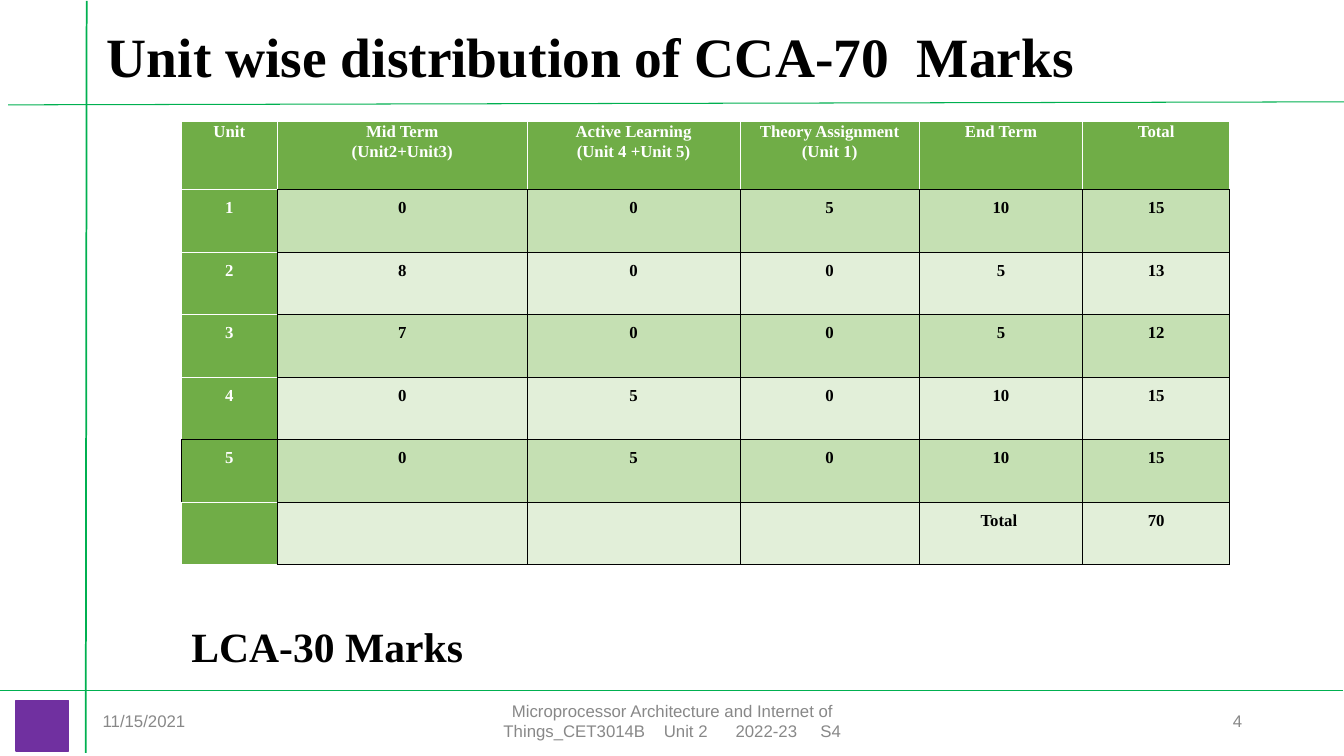
from dataclasses import dataclass

from lxml.etree import SubElement
from pptx import Presentation
from pptx.dml.color import RGBColor as Color
from pptx.enum.shapes import MSO_CONNECTOR as Link, MSO_SHAPE as Form
from pptx.enum.text import MSO_ANCHOR as Anchor, MSO_AUTO_SIZE as Fit, PP_ALIGN as Align
from pptx.oxml.ns import qn
from pptx.slide import Slide
from pptx.table import Table
from pptx.text.text import TextFrame
from pptx.util import Inches, Pt

WIDE, HIGH = Inches(13.33), Inches(7.5)


@dataclass(frozen=True)
class Theme:
    serif: str = "Times New Roman"
    sans: str = "Arial"
    black: str = "000000"
    white: str = "FFFFFF"
    gray: str = "888888"
    rule: str = "00B050"
    square: str = "7030A0"
    head: str = "70AD47"
    bands: tuple[str, str] = ("E2EFD9", "C5E0B3")
    title: float = 39.6
    note: float = 29.7
    small: float = 12


@dataclass(frozen=True)
class Box:
    """Place in percent of the slide's width and height."""
    left: float
    top: float
    width: float
    height: float

    def place(self) -> dict:
        return {"left": across(self.left), "top": down(self.top),
                "width": across(self.width), "height": down(self.height)}


@dataclass(frozen=True)
class Style:
    font: str
    size: float
    color: str
    bold: bool = False
    align: Align = Align.LEFT
    space: float = 1.0
    after: float = 0


@dataclass(frozen=True)
class Label:
    text: str
    box: Box
    style: Style


@dataclass(frozen=True)
class Rule:
    start: tuple[float, float]
    end: tuple[float, float]
    weight: float


def across(share: float) -> int:
    return round(WIDE * share / 100)


def down(share: float) -> int:
    return round(HIGH * share / 100)


def apply(item: object, values: dict) -> None:
    for name, value in values.items():
        setattr(item, name, value)


THEME = Theme()
HEAD = Style(THEME.serif, THEME.title, THEME.black, True, space=0.9)
NOTE = Style(THEME.serif, THEME.note, THEME.black, True, space=0.7)
TITLE = Label("Unit wise distribution of CCA-70  Marks\v", Box(7.2, 9.6, 86.27, 6.27), HEAD)


def foot(text: str, left: float, width: float, align: Align) -> Label:
    style = Style(THEME.sans, THEME.small, THEME.gray, align=align)
    return Label(text, Box(left, 92.67, width, 5.33), style)


LABELS = [
    foot("11/15/2021", 6.9, 22.5, Align.LEFT),
    foot("Microprocessor Architecture and Internet of "
         "Things_CET3014B    Unit 2      2022-23     S4", 33.16, 33.76, Align.CENTER),
    foot("4", 70.67, 22.5, Align.RIGHT),
    Label("LCA-30 Marks", Box(13.5, 83.07, 86.27, 6.27), NOTE),
]
RULES = [
    Rule((0.6, 13.87), (100, 13.47), 0.75),
    Rule((6.45, 0.13), (6.38, 99.6), 1.25),
    Rule((0, 91.33), (99.92, 91.33), 1.25),
]
SQUARE = Box(1.2, 92.67, 3.9, 6.67)
GRID = Box(13.5, 16, 78.01, 58.69)
COLS = [7.13, 18.6, 15.83, 13.35, 12.15, 10.95]
ROWS = [9.07] + [8.27] * 6
MARKS = [
    ["Unit", "Mid Term\n(Unit2+Unit3)", "Active Learning\n(Unit 4 +Unit 5)",
     "Theory Assignment (Unit 1)", "End Term", "Total"],
    ["1", "0", "0", "5", "10", "15"],
    ["2", "8", "0", "0", "5", "13"],
    ["3", "7", "0", "0", "5", "12"],
    ["4", "0", "5", "0", "10", "15"],
    ["5", "0", "5", "0", "10", "15"],
    ["", "", "", "", "Total ", "70"],
]
SIDES = {"a:lnL": (0, -1), "a:lnR": (0, 1), "a:lnT": (-1, 0), "a:lnB": (1, 0)}
DARK = [{(5, 0), (4, 0)}, {(5, 0), (5, -1)}]


def write(frame: TextFrame, text: str, style: Style) -> None:
    frame.text = text
    for para in frame.paragraphs:
        apply(para, {"alignment": style.align, "line_spacing": style.space,
                     "space_before": Pt(0), "space_after": Pt(0)})
        for run in para.runs:
            apply(run.font, {"name": style.font, "size": Pt(style.size), "bold": style.bold})
            run.font.color.rgb = Color.from_string(style.color)
    frame.paragraphs[-1].space_after = Pt(style.after)


def fill(item: object, color: str) -> None:
    item.fill.solid()
    item.fill.fore_color.rgb = Color.from_string(color)


def add_text(slide: Slide, label: Label, shape: object = None) -> None:
    shape = shape or slide.shapes.add_textbox(0, 0, 0, 0)
    apply(shape, label.box.place())
    apply(shape.text_frame, {"word_wrap": True, "auto_size": Fit.NONE,
                             "vertical_anchor": Anchor.MIDDLE})
    write(shape.text_frame, label.text, label.style)


def add_rule(slide: Slide, rule: Rule) -> None:
    (left, top), (right, base) = rule.start, rule.end
    line = slide.shapes.add_connector(Link.STRAIGHT, across(left), down(top),
                                      across(right), down(base))
    line.line.width = Pt(rule.weight)
    line.line.color.rgb = Color.from_string(THEME.rule)
    SubElement(line._element.spPr, qn("a:effectLst"))


def add_square(slide: Slide) -> None:
    shape = slide.shapes.add_shape(Form.RECTANGLE, **SQUARE.place())
    shape.shadow.inherit = False
    fill(shape, THEME.square)
    shape.line.color.rgb = Color.from_string(THEME.square)
    shape.line.width = Pt(1)


def in_body(row: int, col: int) -> bool:
    return 0 < row < len(ROWS) and 0 < col < len(COLS)


def add_edges(cell: object, row: int, col: int) -> None:
    """Draw black edges around body cells and white ones between green cells."""
    for tag, (drop, step) in SIDES.items():
        pair = {(row, col), (row + drop, col + step)}
        dark = pair in DARK or any(in_body(*spot) for spot in pair)
        edge = SubElement(cell._tc.get_or_add_tcPr(), qn(tag), w=str(Pt(0.5)))
        paint = SubElement(edge, qn("a:solidFill"))
        SubElement(paint, qn("a:srgbClr"), val=THEME.black if dark else THEME.white)


def fill_cell(table: Table, row: int, col: int, text: str) -> None:
    cell, body = table.cell(row, col), in_body(row, col)
    apply(cell, {"margin_left": Inches(0.08), "margin_right": Inches(0.08),
                 "margin_top": 0, "margin_bottom": 0})
    add_edges(cell, row, col)
    fill(cell, THEME.bands[row % 2] if body else THEME.head)
    if text:
        ink = THEME.black if body else THEME.white
        write(cell.text_frame, text, Style(THEME.serif, THEME.small, ink, True,
                                           Align.CENTER, 1.5 if row else 1.08, 8))


def add_marks(slide: Slide) -> None:
    table = slide.shapes.add_table(len(ROWS), len(COLS), **GRID.place()).table
    apply(table, {"first_row": False, "horz_banding": False})
    for col, share in zip(table.columns, COLS):
        col.width = across(share)
    for row, share in zip(table.rows, ROWS):
        row.height = down(share)
    for row, texts in enumerate(MARKS):
        for col, text in enumerate(texts):
            fill_cell(table, row, col, text)


def main() -> None:
    deck = Presentation()
    apply(deck, {"slide_width": WIDE, "slide_height": HIGH})
    slide = deck.slides.add_slide(deck.slide_layouts[5])
    add_text(slide, TITLE, slide.shapes.title)
    add_square(slide)
    for rule in RULES:
        add_rule(slide, rule)
    for label in LABELS:
        add_text(slide, label)
    add_marks(slide)
    deck.save("out.pptx")


if __name__ == "__main__":
    main()
